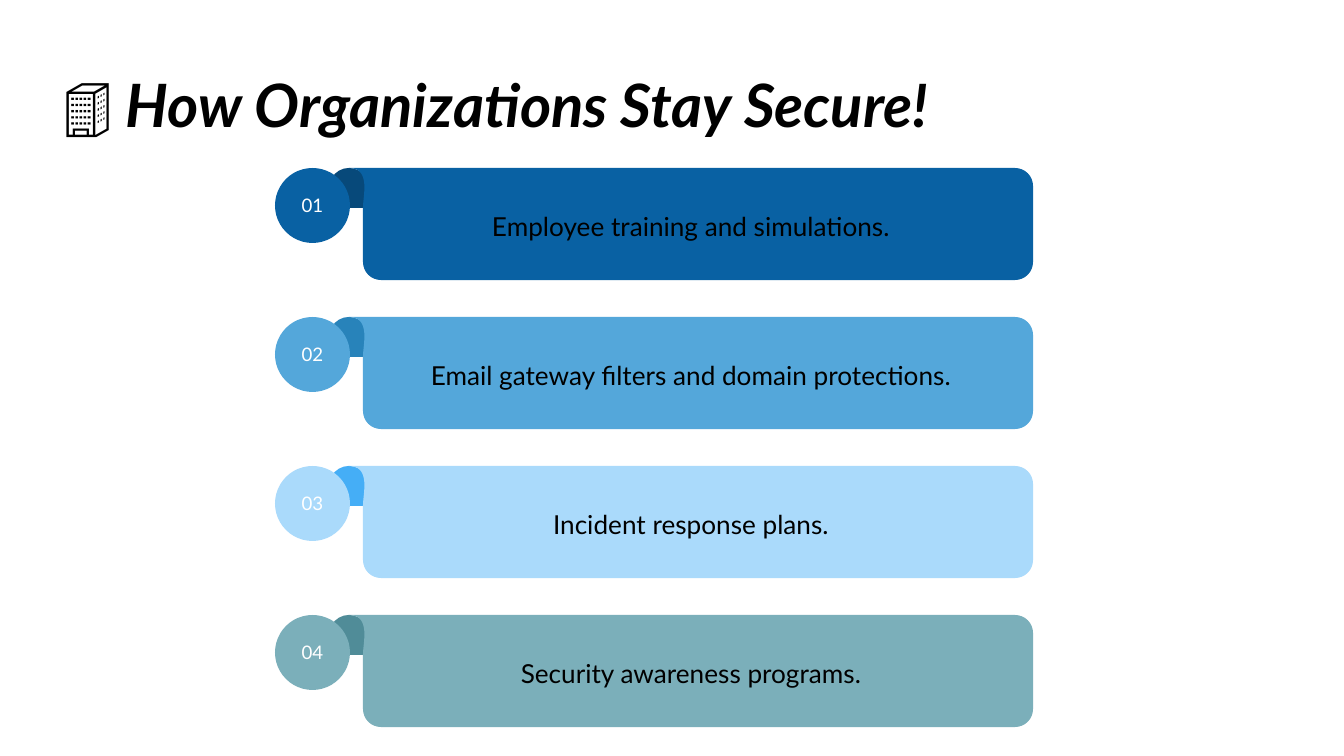
from pptx import Presentation
from pptx.dml.color import RGBColor
from pptx.enum.shapes import MSO_SHAPE
from pptx.enum.text import MSO_ANCHOR, PP_ALIGN
from pptx.oxml.ns import qn
from pptx.util import Emu, Pt
from lxml.etree import SubElement

SCALE = 9144000 / 1344
FONT = "Lato"
FIRST_TOP, ROW_PITCH = 168, 149
MEASURES = [
    ("Employee training and simulations.", "0961A3", "07497A"),
    ("Email gateway filters and domain protections.", "54A7DA", "2883BA"),
    ("Incident response plans.", "AADAFB", "45AEF6"),
    ("Security awareness programs.", "7BAFBA", "508C98"),
]
BANNER_SEGMENTS = [
    [(666, 0)],
    [(676, 0), (684, 8), (684, 18)],
    [(684, 94)],
    [(684, 104), (676, 112), (666, 112)],
    [(32, 112)],
    [(22, 112), (14, 104), (14, 94)],
    [(14, 39)],
    [(14, 28), (22, 0), (0, 0)],
]


def px(length):
    """Turn pixels into EMU."""
    return Emu(round(length * SCALE))


def color(value):
    """Turn a hex string into a colour."""
    return RGBColor.from_string(value)


def paint(shape, fill):
    """Give a shape a flat fill without line or shadow."""
    shape.shadow.inherit = False
    shape.fill.solid()
    shape.fill.fore_color.rgb = color(fill)
    shape.line.fill.background()


def set_frame(frame, anchor, margin_x=0, margin_y=0):
    """Set wrapping, anchor and margins of a text frame."""
    frame.word_wrap = True
    frame.vertical_anchor = anchor
    frame.margin_left = frame.margin_right = px(margin_x)
    frame.margin_top = frame.margin_bottom = px(margin_y)


def style_paragraph(paragraph, size, text_color, alignment):
    """Set font and alignment of a paragraph."""
    paragraph.alignment = alignment
    paragraph.font.name = FONT
    paragraph.font.size = Pt(size)
    paragraph.font.color.rgb = color(text_color)


def add_title(slide):
    """Fill and place the slide title."""
    title = slide.shapes.title
    title.left, title.top, title.width, title.height = map(px, (64, 14, 1120, 126))
    set_frame(title.text_frame, MSO_ANCHOR.BOTTOM)
    paragraph = title.text_frame.paragraphs[0]
    style_paragraph(paragraph, 32, "000000", PP_ALIGN.LEFT)
    paragraph.font.bold = True
    paragraph.add_run().text = "🏢 "
    phrase = paragraph.add_run()
    phrase.text = "How Organizations Stay Secure!"
    phrase.font.italic = True


def add_fold(slide, top, fill):
    """Add the dark fold behind a banner."""
    fold = slide.shapes.add_shape(MSO_SHAPE.ROUND_2_SAME_RECTANGLE,
                                  px(329), px(top), px(40), px(40))
    fold.adjustments[0] = 0.5
    fold.adjustments[1] = 0
    paint(fold, fill)


def bend_segments(shape, segments):
    """Turn the segments that have control points into cubic curves."""
    lines = shape._element.xpath(".//a:lnTo")
    for line, points in zip(lines, segments):
        if len(points) == 3:
            bend = SubElement(line.getparent(), qn("a:cubicBezTo"))
            for x, y in points:
                SubElement(bend, qn("a:pt"), x=str(x), y=str(y))
            line.getparent().replace(line, bend)


def add_banner(slide, top, text, fill):
    """Add a banner with its text."""
    builder = slide.shapes.build_freeform(0, 0, scale=SCALE)
    builder.add_line_segments([points[-1] for points in BANNER_SEGMENTS], close=True)
    banner = builder.convert_to_shape(px(349), px(top))
    bend_segments(banner, BANNER_SEGMENTS)
    paint(banner, fill)
    set_frame(banner.text_frame, MSO_ANCHOR.MIDDLE, 28, 7)
    paragraph = banner.text_frame.paragraphs[0]
    paragraph.text = text
    paragraph.line_spacing = 1.15
    style_paragraph(paragraph, 14, "000000", PP_ALIGN.CENTER)


def add_number(slide, top, number, fill):
    """Add a numbered circle."""
    circle = slide.shapes.add_shape(MSO_SHAPE.OVAL, px(275), px(top), px(75), px(75))
    paint(circle, fill)
    set_frame(circle.text_frame, MSO_ANCHOR.MIDDLE)
    paragraph = circle.text_frame.paragraphs[0]
    paragraph.text = f"{number:02d}"
    style_paragraph(paragraph, 10, "FFFFFF", PP_ALIGN.CENTER)


def main():
    """Build and save the slide."""
    presentation = Presentation()
    presentation.slide_width, presentation.slide_height = px(1344), px(756)
    slide = presentation.slides.add_slide(presentation.slide_layouts[5])
    add_title(slide)
    for index, (text, fill, fold_fill) in enumerate(MEASURES):
        top = FIRST_TOP + index * ROW_PITCH
        add_fold(slide, top, fold_fill)
        add_banner(slide, top, text, fill)
        add_number(slide, top, index + 1, fill)
    presentation.save("out.pptx")


if __name__ == "__main__":
    main()
